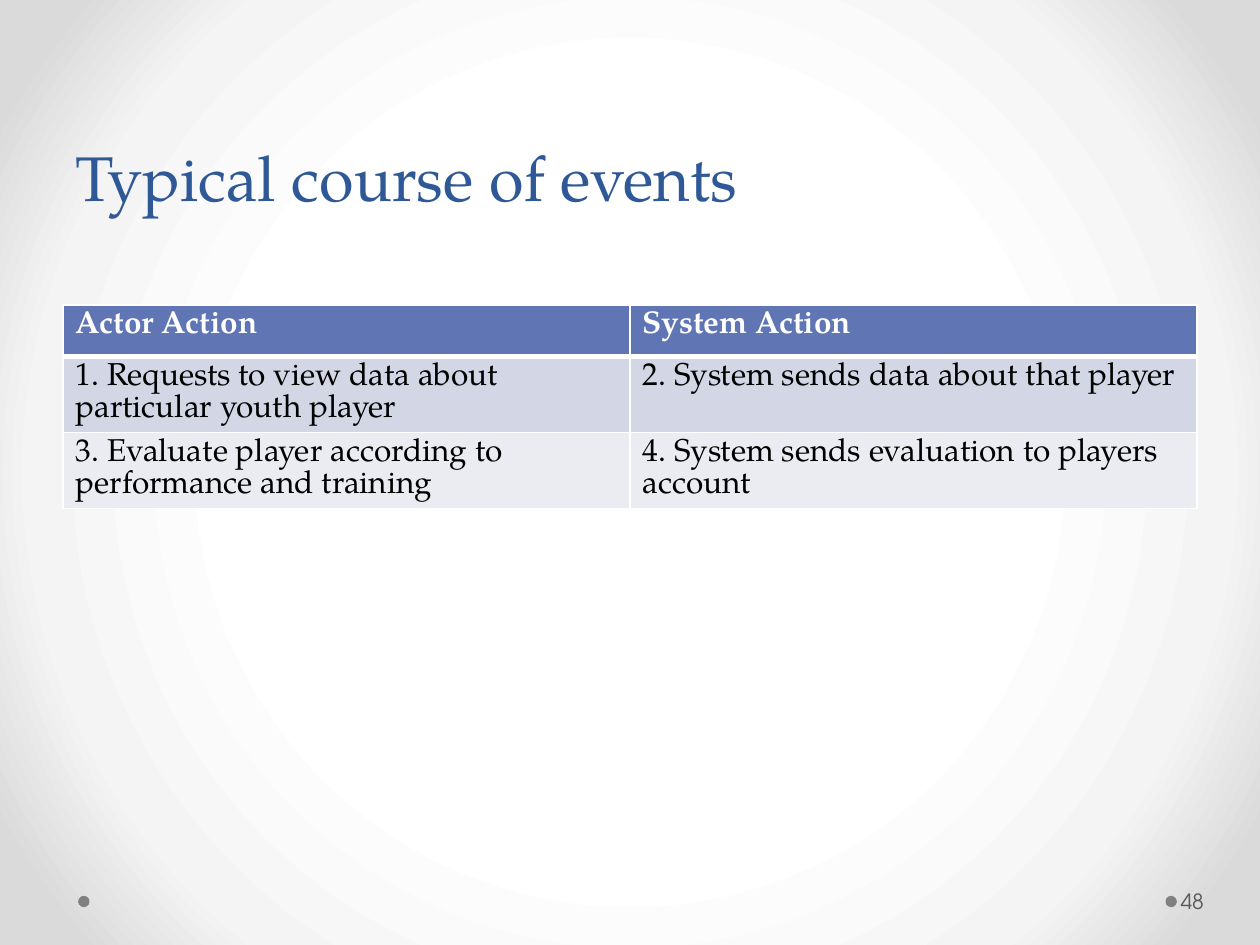
from lxml import etree
from pptx import Presentation
from pptx.dml.color import RGBColor
from pptx.enum.shapes import MSO_SHAPE
from pptx.enum.text import MSO_ANCHOR, PP_ALIGN
from pptx.oxml import parse_xml
from pptx.oxml.ns import nsdecls
from pptx.util import Inches, Pt

OVAL = MSO_SHAPE.OVAL
BOTTOM, MIDDLE = MSO_ANCHOR.BOTTOM, MSO_ANCHOR.MIDDLE
LEFT = PP_ALIGN.LEFT

SERIF, SANS = "TeX Gyre Pagella", "TeX Gyre Adventor"
COLORS = {
    "title": "2F5897", "header": "6076B4", "odd": "D2D6E5", "even": "EAECF2",
    "white": "FFFFFF", "black": "000000", "dot": "808080", "number": "595959",
}
BACKGROUND_STOPS = [(50, "FFFFFF"), (76, "F4F4F4"), (92, "DADADA")]
EVENTS = [
    ("Actor Action", "System Action"),
    ("1. Requests to view data about particular youth player",
     "2. System sends data about that player"),
    ("3. Evaluate player according to performance and training",
     "4. System sends evaluation to players account"),
]


def rgb(name):
    return RGBColor.from_string(COLORS[name])


def write(tf, text, color, **font):
    p = tf.paragraphs[0]
    p.alignment = LEFT
    r = p.add_run()
    r.text = text
    r.font.color.rgb = rgb(color)
    for name, value in font.items():
        setattr(r.font, name, value)
    return p


def set_background(s):
    """Give the slide a circular gradient that darkens towards the corners."""
    fill = s.background.fill
    fill.solid()
    bg_pr = s.background._cSld.bg.bgPr
    stops = "".join(
        f'<a:gs pos="{pos * 1000}"><a:srgbClr val="{color}"/></a:gs>'
        for pos, color in BACKGROUND_STOPS)
    gradient = parse_xml(
        f'<a:gradFill {nsdecls("a")} rotWithShape="1"><a:gsLst>{stops}</a:gsLst>'
        '<a:path path="circle"><a:fillToRect l="50000" t="50000" r="50000" b="50000"/>'
        '</a:path></a:gradFill>')
    bg_pr.replace(bg_pr[0], gradient)


def add_title(s, text):
    title = s.shapes.title
    box = {"left": 0.5, "top": 0, "width": 9, "height": 1.75}
    for name, value in box.items():
        setattr(title, name, Inches(value))
    tf = title.text_frame
    tf.vertical_anchor = BOTTOM
    p = write(tf, text, "title", name=SERIF, size=Pt(36))
    p.line_spacing = Pt(58)


def set_borders(cell, widths):
    """Draw white borders; widths are in points, by side."""
    tc_pr = cell._tc.get_or_add_tcPr()
    for i, side in enumerate("LRTB"):
        line = parse_xml(
            f'<a:ln{side} {nsdecls("a")} w="{Pt(widths.get(side, 1))}"/>')
        fill = etree.SubElement(line, f"{{{line.nsmap['a']}}}solidFill")
        etree.SubElement(fill, f"{{{line.nsmap['a']}}}srgbClr", val=COLORS["white"])
        tc_pr.insert(i, line)


def add_events_table(s):
    frame = s.shapes.add_table(len(EVENTS), 2, Inches(0.5), Inches(2.42),
                               Inches(9), Inches(0.41 * len(EVENTS)))
    table = frame.table
    row_fills = ["header", "odd", "even"]
    row_borders = [{"B": 3}, {"T": 3}, {}]
    for i, row in enumerate(EVENTS):
        for j, text in enumerate(row):
            cell = table.cell(i, j)
            cell.fill.solid()
            cell.fill.fore_color.rgb = rgb(row_fills[i])
            set_borders(cell, row_borders[i])
            write(cell.text_frame, text, "black" if i else "white",
                  name=SERIF, size=Pt(18), bold=i == 0)


def add_dot(s, left):
    dot = s.shapes.add_shape(OVAL, Inches(left), Inches(7.11),
                             Inches(0.09), Inches(0.09))
    dot.shadow.inherit = False
    dot.fill.solid()
    dot.fill.fore_color.rgb = rgb("dot")
    dot.line.fill.background()


def add_slide_number(s, number):
    box = s.shapes.add_textbox(Inches(9.34), Inches(6.95), Inches(0.61), Inches(0.4))
    tf = box.text_frame
    tf.word_wrap = True
    tf.vertical_anchor = MIDDLE
    margins = {"left": 0.03, "top": 0.05, "right": 0.05, "bottom": 0.05}
    for side, value in margins.items():
        setattr(tf, f"margin_{side}", Inches(value))
    write(tf, number, "number", name=SANS, size=Pt(12))


def main():
    prs = Presentation()
    prs.slide_width, prs.slide_height = Inches(10), Inches(7.5)
    s = prs.slides.add_slide(prs.slide_layouts[5])
    set_background(s)
    for left in (9.25, 0.62):
        add_dot(s, left)
    add_title(s, "Typical course of events")
    add_events_table(s)
    add_slide_number(s, "48")
    prs.save("out.pptx")


if __name__ == "__main__":
    main()
